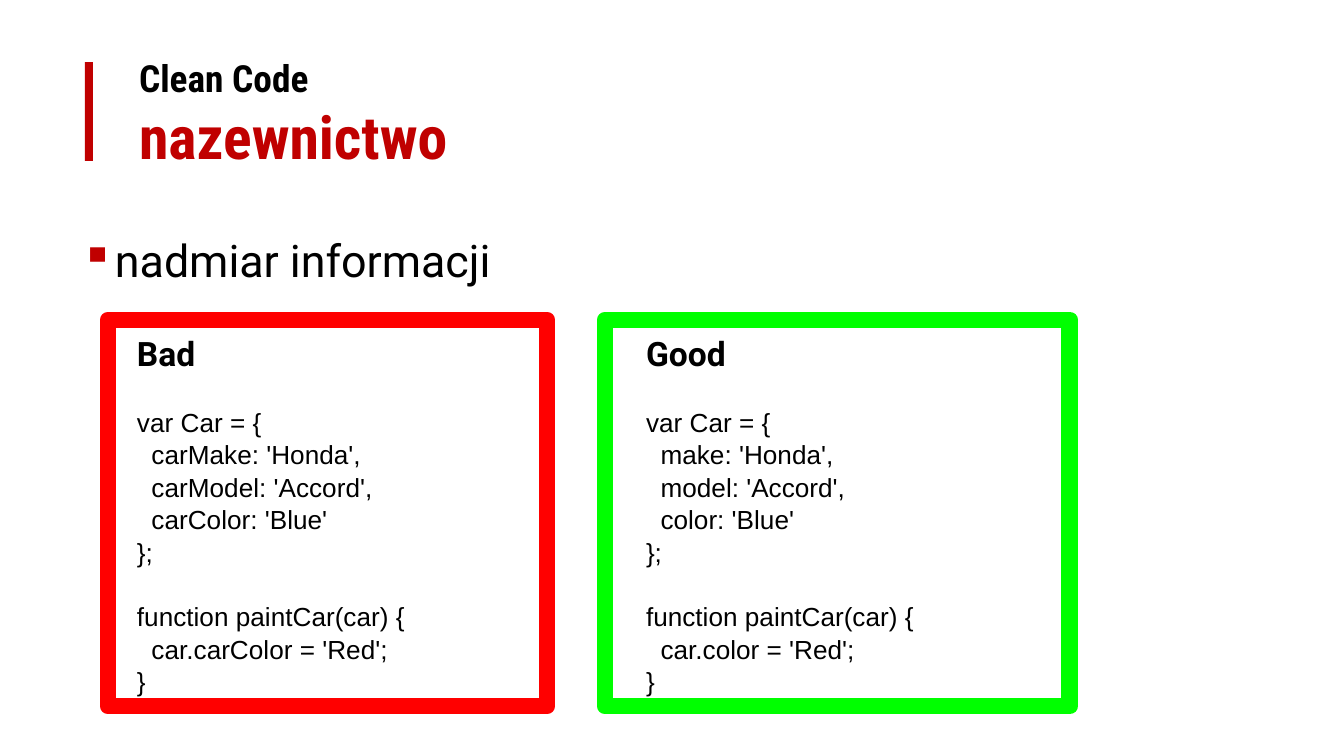
from dataclasses import dataclass

from lxml.etree import SubElement
from pptx import Presentation
from pptx.dml.color import RGBColor
from pptx.enum.shapes import MSO_SHAPE
from pptx.oxml.ns import qn
from pptx.util import Emu, Pt

PX = 914400 / 134.4
BLACK = RGBColor(0x00, 0x00, 0x00)
CRIMSON = RGBColor(0xC0, 0x00, 0x00)
RED = RGBColor(0xFF, 0x00, 0x00)
GREEN = RGBColor(0x00, 0xFF, 0x00)
CODE_LINE = 1.04
CODE_GAP = Pt(16.8)
PANEL_TOP, PANEL_HEIGHT = 320, 386


def px(length: int) -> Emu:
    return Emu(round(length * PX))


@dataclass(frozen=True)
class Panel:
    heading: str
    blocks: tuple[str, ...]
    text_left: int
    frame_left: int
    frame_width: int
    color: RGBColor


PANELS = (
    Panel("Good", (
        "var Car = {\n  make: 'Honda',\n  model: 'Accord',\n  color: 'Blue'\n};",
        "function paintCar(car) {\n  car.color = 'Red';\n}",
    ), 633, 605, 465, GREEN),
    Panel("Bad", (
        "var Car = {\n  carMake: 'Honda',\n  carModel: 'Accord',\n  carColor: 'Blue'\n};",
        "function paintCar(car) {\n  car.carColor = 'Red';\n}",
    ), 124, 108, 439, RED),
)


def add_text(page, left: int, top: int, width: int, height: int, text: str):
    box = page.shapes.add_textbox(px(left), px(top), px(width), px(height))
    frame = box.text_frame
    frame.word_wrap = True
    frame.margin_left = frame.margin_right = px(13)
    frame.margin_top = frame.margin_bottom = px(13)
    frame.text = text
    return frame


def style(span, name: str, size: int, color: RGBColor = BLACK, bold: bool = False) -> None:
    span.font.name = name
    span.font.size = Pt(size)
    span.font.bold = bold
    span.font.color.rgb = color


def add_bullet(para, mark: str, color: RGBColor) -> None:
    properties = para._p.get_or_add_pPr()
    properties.set("marL", str(px(67)))
    properties.set("indent", str(-px(34)))
    bullet_color = SubElement(properties, qn("a:buClr"))
    SubElement(bullet_color, qn("a:srgbClr")).set("val", str(color))
    SubElement(properties, qn("a:buChar")).set("char", mark)


def add_code(page, panel: Panel) -> None:
    lines = [panel.heading]
    block_starts = []
    for block in panel.blocks:
        block_starts.append(len(lines))
        lines += block.split("\n")
    frame = add_text(page, panel.text_left, PANEL_TOP, 480, PANEL_HEIGHT, "\n".join(lines))
    heading, *code = frame.paragraphs
    style(heading.runs[0], "Roboto", 18, bold=True)
    for para in code:
        para.line_spacing = CODE_LINE
        style(para.runs[0], "Arial", 14)
    for start in block_starts:
        frame.paragraphs[start].space_before = CODE_GAP


def add_frame(page, panel: Panel) -> None:
    border = page.shapes.add_shape(MSO_SHAPE.RECTANGLE, px(panel.frame_left), px(PANEL_TOP),
                                   px(panel.frame_width), px(PANEL_HEIGHT))
    border.shadow.inherit = False
    border.fill.background()
    border.line.color.rgb = panel.color
    border.line.width = Pt(9)
    SubElement(border.line._get_or_add_ln(), qn("a:round"))


def main() -> None:
    deck = Presentation()
    deck.slide_width, deck.slide_height = px(1344), px(756)
    page = deck.slides.add_slide(deck.slide_layouts[6])

    # Accent bar
    bar = page.shapes.add_shape(MSO_SHAPE.RECTANGLE, px(85), px(62), px(8), px(99))
    bar.shadow.inherit = False
    bar.fill.solid()
    bar.fill.fore_color.rgb = CRIMSON
    bar.line.fill.background()

    # Bulleted topic
    topic = add_text(page, 35, 220, 1137, 99, "nadmiar informacji").paragraphs[0]
    add_bullet(topic, "▪", CRIMSON)
    style(topic.runs[0], "Roboto", 24)

    # Title
    title = add_text(page, 126, 42, 624, 126, "")
    title.paragraphs[0].text = "Clean Code\vnazewnictwo"
    kicker, subject = title.paragraphs[0].runs
    style(kicker, "Roboto Condensed", 20, bold=True)
    style(subject, "Roboto Condensed", 32, CRIMSON, bold=True)

    # Code comparison, with the frames on top
    for panel in reversed(PANELS):
        add_code(page, panel)
    for panel in PANELS:
        add_frame(page, panel)

    deck.save("out.pptx")


if __name__ == "__main__":
    main()
